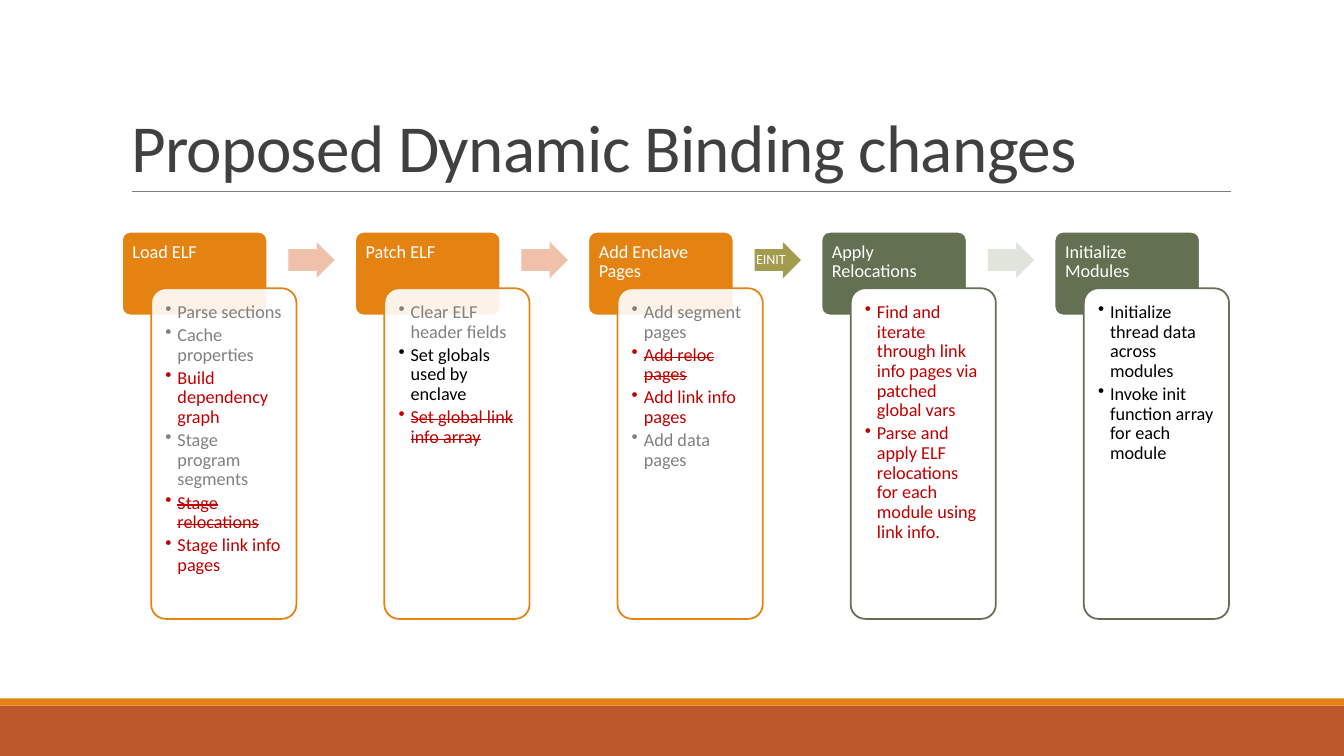
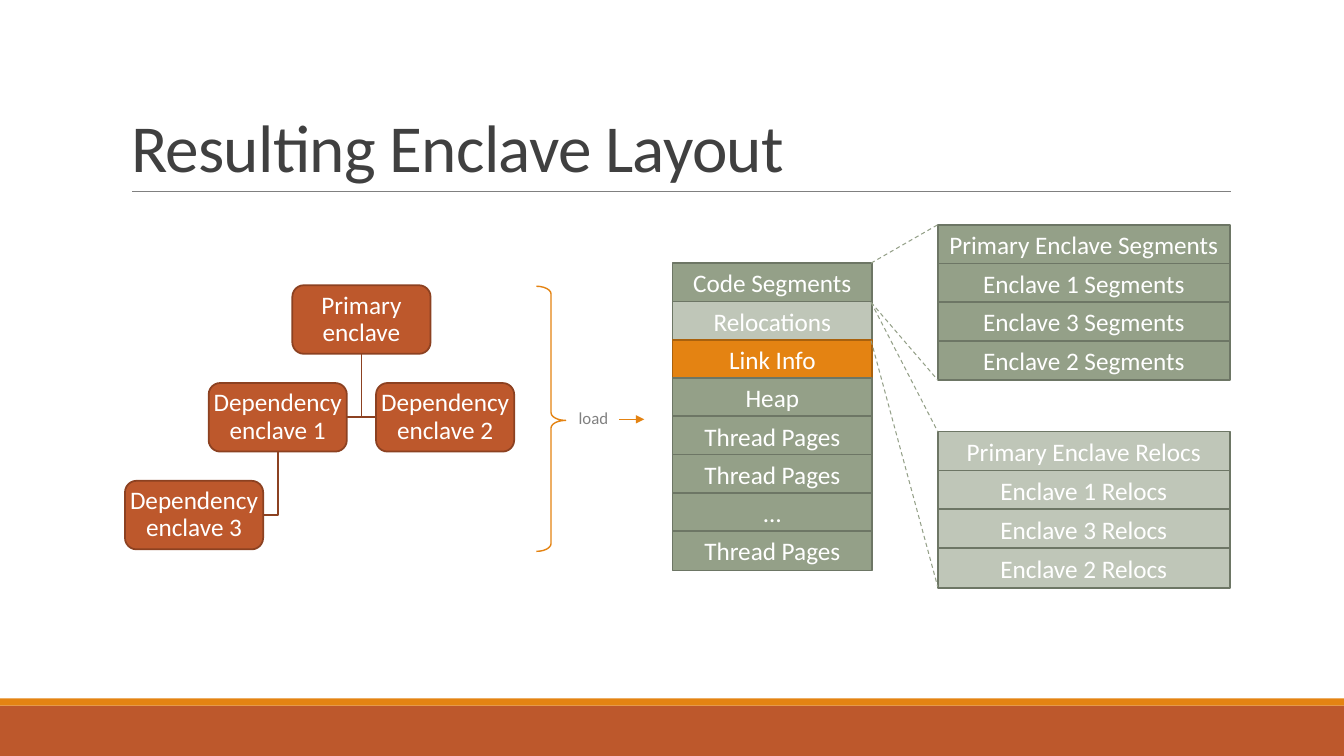
from lxml import etree
from pptx import Presentation
from pptx.dml.color import RGBColor
from pptx.enum.dml import MSO_LINE
from pptx.enum.shapes import MSO_CONNECTOR, MSO_SHAPE
from pptx.enum.text import MSO_ANCHOR, MSO_AUTO_SIZE, PP_ALIGN
from pptx.oxml.ns import qn
from pptx.util import Inches, Pt

RECT, ROUND = MSO_SHAPE.RECTANGLE, MSO_SHAPE.ROUNDED_RECTANGLE
ARROW, BRACE = MSO_SHAPE.RIGHT_ARROW, MSO_SHAPE.RIGHT_BRACE
STRAIGHT, DASH = MSO_CONNECTOR.STRAIGHT, MSO_LINE.DASH
TOP, MIDDLE, BOTTOM = MSO_ANCHOR.TOP, MSO_ANCHOR.MIDDLE, MSO_ANCHOR.BOTTOM
LEFT, CENTER = PP_ALIGN.LEFT, PP_ALIGN.CENTER

FONT = "Calibri"
WHITE, BLACK, GREY, DARK, RED = "FFFFFF", "000000", "808080", "404040", "C00000"
ORANGE, ORANGE_EDGE = "E48312", "A9610D"
RUST, RUST_EDGE = "BD582C", "8C4121"
SAGE, PALE_SAGE, SAGE_EDGE = "94A088", "BFC6B8", "6D7665"
MOSS = "637052"

# Bullet styles: colour, struck through
SAME, PLAIN, NEW, DROPPED = (GREY, False), (BLACK, False), (RED, False), (RED, True)

# Heading, colour, opacity of the card in percent, bullets
STEPS = [
    ("Load ELF", ORANGE, 90, [
        ("Parse sections", SAME), ("Cache properties", SAME),
        ("Build dependency graph", NEW), ("Stage program segments", SAME),
        ("Stage relocations", DROPPED), ("Stage link info pages", NEW)]),
    ("Patch ELF", ORANGE, 90, [
        ("Clear ELF header fields", SAME), ("Set globals used by enclave", PLAIN),
        ("Set global link info array", DROPPED)]),
    ("Add Enclave Pages", ORANGE, 90, [
        ("Add segment pages", SAME), ("Add reloc pages", DROPPED),
        ("Add link info pages", NEW), ("Add data pages", SAME)]),
    ("Apply Relocations", MOSS, 100, [
        ("Find and iterate through link info pages via patched global vars", NEW),
        ("Parse and apply ELF relocations for each module using link info.", NEW)]),
    ("Initialize Modules", MOSS, 100, [
        ("Initialize thread data across modules", PLAIN),
        ("Invoke init function array for each module", PLAIN)]),
]
STEP_ARROWS = [("", "EFC1AB"), ("", "EFC1AB"), ("EINIT", "A39B4E"), ("", "E0E4DB")]

# Label, index of the parent, side of the parent (-1 left, 1 right)
TREE = [
    ("Primary enclave", None, 0),
    ("Dependency enclave 1", 0, -1),
    ("Dependency enclave 2", 0, 1),
    ("Dependency enclave 3", 1, -1),
]

# Left, width, top of the first row, top of the last row, fill, labels
ROW_HEIGHT = 0.39
STACKS = [
    (9.3, 2.9, 2.23, 3.38, SAGE,
     ["Primary Enclave Segments", "Enclave 1 Segments",
      "Enclave 3 Segments", "Enclave 2 Segments"]),
    (9.3, 2.9, 4.28, 5.44, PALE_SAGE,
     ["Primary Enclave Relocs", "Enclave 1 Relocs",
      "Enclave 3 Relocs", "Enclave 2 Relocs"]),
    (6.67, 1.98, 2.61, 5.27, SAGE,
     ["Code Segments", "Relocations", "Link Info", "Heap",
      "Thread Pages", "Thread Pages", "…", "Thread Pages"]),
]
ROW_COLOURS = {"Relocations": (PALE_SAGE, SAGE_EDGE),
               "Link Info": (ORANGE, ORANGE_EDGE)}

# Height on the memory stack, height on the detail stack
ZOOM_LINES = [(2.61, 2.23), (3, 3.77), (3, 4.28), (3.38, 5.82)]


def rgb(colour):
    return RGBColor.from_string(colour)


def set_line(line, colour, width):
    if colour is None:
        line.fill.background()
    else:
        line.color.rgb = rgb(colour)
        line.width = Pt(width)


def add_shape(slide, kind, box, fill=None, edge=None, width=1.25, adj=()):
    sp = slide.shapes.add_shape(kind, *map(Inches, box))
    sp.shadow.inherit = False
    if fill is None:
        sp.fill.background()
    else:
        sp.fill.solid()
        sp.fill.fore_color.rgb = rgb(fill)
    set_line(sp.line, edge, width)
    for i, value in enumerate(adj):
        sp.adjustments[i] = value
    return sp


def add_line(slide, start, end, colour, width):
    line = slide.shapes.add_connector(STRAIGHT, *map(Inches, start + end))
    set_line(line.line, colour, width)
    etree.SubElement(line.element.spPr, qn("a:effectLst"))
    return line


def set_frame(tf, anchor, insets, wrap=True):
    tf.word_wrap = wrap
    tf.vertical_anchor = anchor
    (tf.margin_left, tf.margin_top,
     tf.margin_right, tf.margin_bottom) = map(Inches, insets)


def add_text(p, text, size, colour=WHITE, align=CENTER, spacing=1.0):
    p.alignment = align
    p.line_spacing = spacing
    r = p.add_run()
    r.text = text
    r.font.name = FONT
    r.font.size = Pt(size)
    r.font.color.rgb = rgb(colour)
    return r


def add_bullet(p, text, style):
    colour, struck = style
    r = add_text(p, text, 13, colour, LEFT, 0.9)
    p.space_after = Pt(2.4)
    if struck:
        r.font._element.set("strike", "sngStrike")
    props = p._p.get_or_add_pPr()
    props.set("marL", str(Inches(0.12)))
    props.set("indent", str(-Inches(0.12)))
    etree.SubElement(props, qn("a:buChar"), char="•")


def set_opacity(sp, percent):
    colour = sp.element.spPr.find(qn("a:solidFill"))[0]
    etree.SubElement(colour, qn("a:alpha"), val=str(percent * 1000))


def add_titled_slide(prs, title):
    slide = prs.slides.add_slide(prs.slide_layouts[5])
    sp = slide.shapes.title
    sp.left, sp.top, sp.width, sp.height = map(Inches, (1.2, 0.31, 11, 1.59))
    tf = sp.text_frame
    tf.auto_size = MSO_AUTO_SIZE.NONE
    set_frame(tf, BOTTOM, (0.1, 0.05, 0.1, 0.05))
    r = add_text(tf.paragraphs[0], title, 48, DARK, LEFT, 0.85)
    r.font._element.set("spc", "-50")
    return slide


def furnish_layout(slide):
    """Draw the bands and title rule, then move them to the slide's layout."""
    layout = slide.slide_layout
    for ph in list(layout.placeholders)[1:]:
        ph.element.getparent().remove(ph.element)
    for sp in (add_shape(slide, RECT, (0, 7, 13.33, 0.5), RUST),
               add_shape(slide, RECT, (0, 6.93, 13.33, 0.07), ORANGE),
               add_line(slide, (1.31, 1.9), (12.21, 1.9), GREY, 0.5)):
        layout.shapes.element.append(sp.element)


def draw_process(slide):
    first, last = 1.21, 10.46
    pitch = (last - first) / (len(STEPS) - 1)
    for i, (heading, colour, opacity, bullets) in enumerate(STEPS):
        left = first + i * pitch
        head = add_shape(slide, ROUND, (left, 2.3, 1.44, 0.83), colour, WHITE, adj=[0.1])
        set_frame(head.text_frame, TOP, (0.08, 0.08, 0.08, 0.05))
        add_text(head.text_frame.paragraphs[0], heading, 13, align=LEFT, spacing=0.9)

        card = add_shape(slide, ROUND, (left + 0.29, 2.86, 1.44, 3.28),
                         WHITE, colour, adj=[0.1])
        set_opacity(card, opacity)
        tf = card.text_frame
        set_frame(tf, TOP, (0.1, 0.1, 0.1, 0.1))
        for j, (text, style) in enumerate(bullets):
            add_bullet(tf.add_paragraph() if j else tf.paragraphs[0], text, style)

    for i, (label, colour) in enumerate(STEP_ARROWS):
        arrow = add_shape(slide, ARROW, (first + i * pitch + 1.65, 2.4, 0.46, 0.36),
                          colour, adj=[0.6, 0.5])
        if label:
            set_frame(arrow.text_frame, MIDDLE, (0, 0, 0.03, 0))
            add_text(arrow.text_frame.paragraphs[0], label, 10, spacing=0.9)


def draw_tree(slide):
    width, height, shift, drop = 1.37, 0.68, 0.83, 0.97
    spots = []
    for _, parent, side in TREE:
        if parent is None:
            spots.append((2.9, 2.83))
            continue
        x, y = spots[parent]
        child_x, child_y = x + side * shift, y + drop
        spots.append((child_x, child_y))
        stem, level = x + width / 2, child_y + height / 2
        near_side = child_x + (width if side < 0 else 0)
        path = slide.shapes.build_freeform(Inches(stem), Inches(y + height))
        path.add_line_segments([(Inches(stem), Inches(level)),
                                (Inches(near_side), Inches(level))], close=False)
        link = path.convert_to_shape()
        link.shadow.inherit = False
        link.fill.background()
        set_line(link.line, RUST_EDGE, 1.25)
    for (label, _, _), (x, y) in zip(TREE, spots):
        sp = add_shape(slide, ROUND, (x, y, width, height), RUST, RUST_EDGE)
        set_frame(sp.text_frame, MIDDLE, (0, 0, 0, 0))
        add_text(sp.text_frame.paragraphs[0], label, 18, spacing=0.9)


def draw_stacks(slide):
    for left, width, top, last, colour, labels in STACKS:
        step = (last - top) / (len(labels) - 1)
        for i, label in enumerate(labels):
            fill, edge = ROW_COLOURS.get(label, (colour, SAGE_EDGE))
            row = add_shape(slide, RECT, (left, top + i * step, width, ROW_HEIGHT),
                            fill, edge)
            set_frame(row.text_frame, MIDDLE, (0.05, 0.05, 0.05, 0.05))
            add_text(row.text_frame.paragraphs[0], label, 18)
    for start, end in ZOOM_LINES:
        add_line(slide, (8.64, start), (9.3, end), SAGE, 0.75).line.dash_style = DASH


def draw_load_step(slide):
    add_shape(slide, BRACE, (5.32, 2.84, 0.29, 2.63), edge=ORANGE, width=1,
              adj=[0.264, 0.506])
    label = slide.shapes.add_textbox(*map(Inches, (5.64, 4, 0.5, 0.3)))
    set_frame(label.text_frame, TOP, (0.1, 0.05, 0.1, 0.05), wrap=False)
    add_text(label.text_frame.paragraphs[0], "load", 12, GREY, LEFT)
    arrow = add_line(slide, (6.14, 4.16), (6.39, 4.16), ORANGE, 1)
    etree.SubElement(arrow.line._get_or_add_ln(), qn("a:tailEnd"), type="triangle")


def main():
    prs = Presentation()
    prs.slide_width, prs.slide_height = Inches(13.33), Inches(7.5)

    changes = add_titled_slide(prs, "Proposed Dynamic Binding changes")
    furnish_layout(changes)
    draw_process(changes)

    result = add_titled_slide(prs, "Resulting Enclave Layout")
    draw_tree(result)
    draw_stacks(result)
    draw_load_step(result)

    prs.save("out.pptx")


if __name__ == "__main__":
    main()
